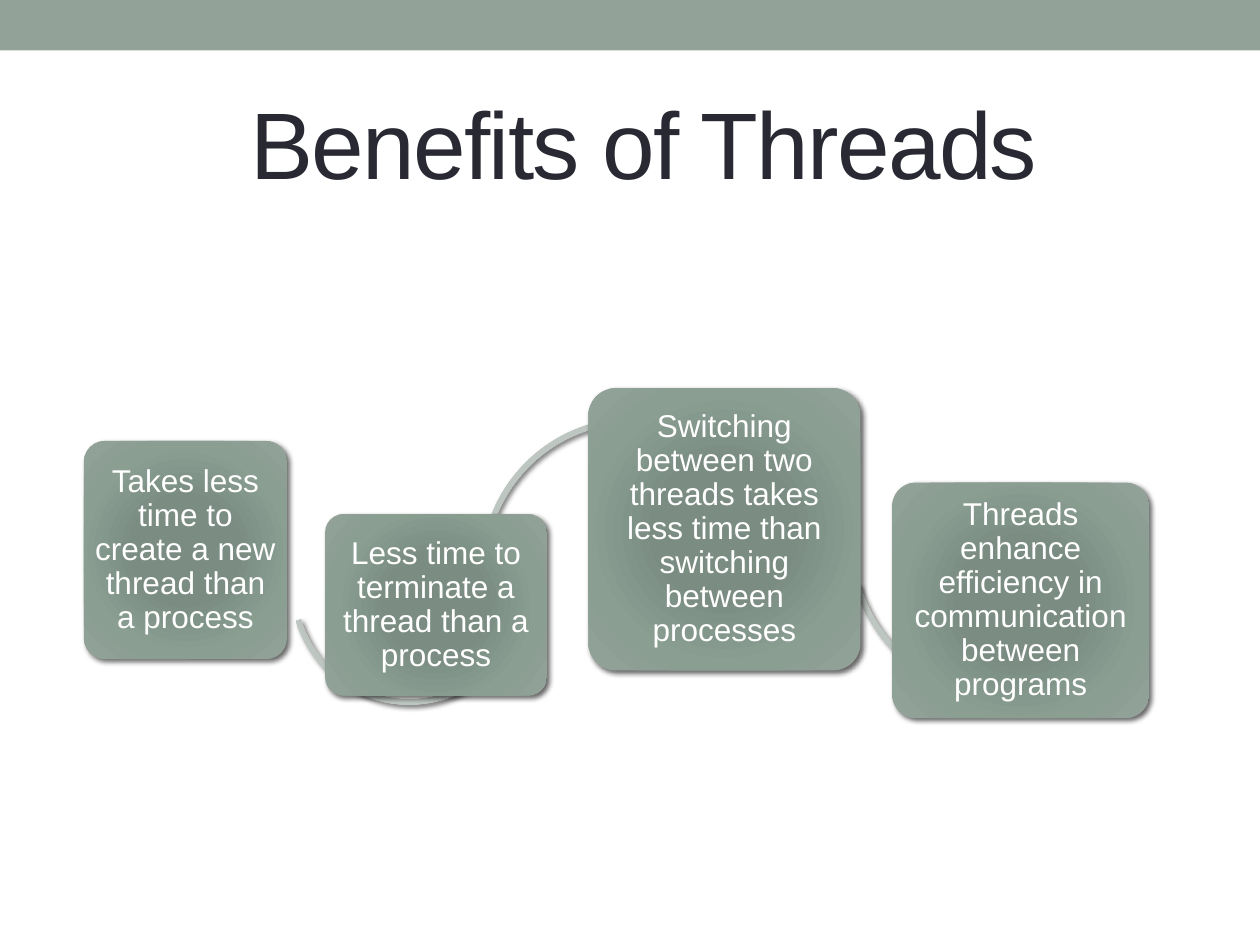
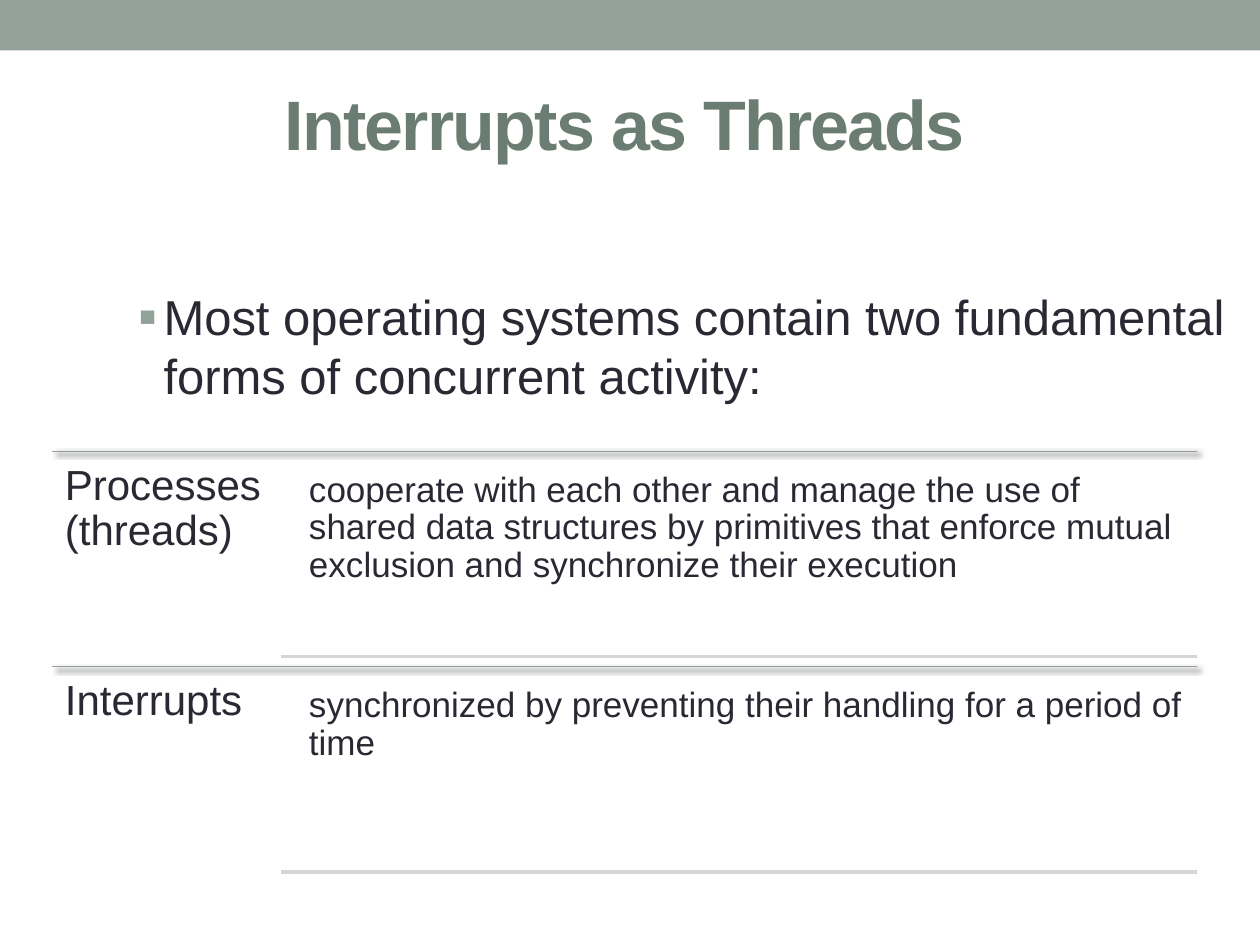
"""Build two slides on threads: their benefits, and interrupts as threads."""
from lxml import etree
from pptx import Presentation
from pptx.dml.color import RGBColor
from pptx.enum.shapes import MSO_CONNECTOR, MSO_SHAPE
from pptx.enum.text import MSO_ANCHOR, PP_ALIGN
from pptx.oxml import parse_xml
from pptx.oxml.ns import nsdecls, qn
from pptx.util import Pt

RECTANGLE = MSO_SHAPE.RECTANGLE
ROUNDED = MSO_SHAPE.ROUNDED_RECTANGLE
ARC_UNDER = MSO_SHAPE.LEFT_CIRCULAR_ARROW
ARC_OVER = MSO_SHAPE.CIRCULAR_ARROW
STRAIGHT = MSO_CONNECTOR.STRAIGHT
LEFT, CENTER = PP_ALIGN.LEFT, PP_ALIGN.CENTER
TOP, MIDDLE = MSO_ANCHOR.TOP, MSO_ANCHOR.MIDDLE

FONT = "Arial"
SAGE, DARK_SAGE, PALE_SAGE = "93A299", "6B7D72", "D2D7D4"
INK, WHITE = "292934", "FFFFFF"
CARD_STOPS = [(0, "7B8E82"), (34, "7B8D83"), (70, "8A9E92"), (100, SAGE)]
ARC_STOPS = [(0, "AAB2AD"), (34, "AAB1AD"), (70, "BDC6C1"), (100, "C8CECA")]
hex_color = RGBColor.from_string


def write_text(shape, text, size, color, align=LEFT, anchor=TOP, margins=(7.2, 3.6), spacing=None):
    """Fill a shape with one paragraph and return the paragraph."""
    frame = shape.text_frame
    frame.word_wrap = True
    frame.vertical_anchor = anchor
    frame.margin_left = frame.margin_right = Pt(margins[0])
    frame.margin_top = frame.margin_bottom = Pt(margins[1])
    paragraph = frame.paragraphs[0]
    paragraph.text = text
    paragraph.alignment = align
    paragraph.line_spacing = spacing
    paragraph.font.name = FONT
    paragraph.font.size = Pt(size)
    paragraph.font.color.rgb = hex_color(color)
    return paragraph


def set_effects(shape, shadow):
    """Give a shape a soft shadow, or none."""
    effects = etree.SubElement(shape._element.spPr, qn("a:effectLst"))
    if shadow:
        effects.append(parse_xml(
            f'<a:outerShdw {nsdecls("a")} blurRad="{Pt(3)}" dist="{Pt(2)}" dir="2700000" '
            'rotWithShape="0"><a:srgbClr val="000000"><a:alpha val="60000"/></a:srgbClr></a:outerShdw>'))


presentation = Presentation()
presentation.slide_width, presentation.slide_height = Pt(720), Pt(540)

titles = [
    ("Benefits of Threads", (60, 42, 616, 78), 54, INK, False),
    ("Interrupts as Threads", (24, 18, 666, 104), 40, DARK_SAGE, True),
]
slides = []
for text, box, size, color, bold in titles:
    slide = presentation.slides.add_slide(presentation.slide_layouts[6])
    band = slide.shapes.add_shape(RECTANGLE, 0, 0, Pt(720), Pt(28.8))
    band.fill.solid()
    band.fill.fore_color.rgb = hex_color(SAGE)
    band.line.fill.background()
    band.shadow.inherit = False
    title = slide.shapes.add_textbox(*map(Pt, box))
    paragraph = write_text(title, text, size, color, CENTER, MIDDLE)
    paragraph.font.bold = bold
    paragraph.runs[0]._r.get_or_add_rPr().set("spc", "-100")
    slides.append(slide)
benefits_slide, interrupts_slide = slides

arcs = [
    (ARC_UNDER, 164.2, 265.7, 139, (2.54, 27.88, 97.83)),
    (ARC_OVER, 272.9, 236.9, 178, (1.97, 181.52, 110.99)),
    (ARC_UNDER, 483.1, 220.3, 180, (1.94, 27.81, 98.36)),
]
cards = [
    ("Takes less time to create a new thread than a process", (48, 252, 116, 124.6)),
    ("Less time to terminate a thread than a process", (185.8, 293.8, 126.7, 103.7)),
    ("Switching between two threads takes less time than switching between processes",
     (336.2, 221.8, 155.5, 161.3)),
    ("Threads enhance efficiency in communication between programs", (509.8, 275.8, 146.9, 134.6)),
]
gradient_shapes = []
for kind, left, top, size, angles in arcs:
    arc = benefits_slide.shapes.add_shape(kind, Pt(left), Pt(top), Pt(size), Pt(size))
    for index, value in enumerate((3 / size, *angles, 3.5 / size)):
        arc.adjustments[index] = value
    gradient_shapes.append((arc, ARC_STOPS))
for text, box in cards:
    card = benefits_slide.shapes.add_shape(ROUNDED, *map(Pt, box))
    card.adjustments[0] = 0.1
    write_text(card, text, 18, WHITE, CENTER, MIDDLE, (2.7, 1.8), 0.9)
    gradient_shapes.append((card, CARD_STOPS))

for shape, stops in gradient_shapes:
    shape.fill.background()
    shape.line.fill.background()
    stop_xml = "".join(
        f'<a:gs pos="{position * 1000}"><a:srgbClr val="{color}"/></a:gs>' for position, color in stops)
    properties = shape._element.spPr
    properties.replace(properties.find(qn("a:noFill")), parse_xml(
        f'<a:gradFill {nsdecls("a")} rotWithShape="1"><a:gsLst>{stop_xml}</a:gsLst><a:path path="circle">'
        '<a:fillToRect l="100000" t="100000" r="100000" b="100000"/></a:path></a:gradFill>'))
    set_effects(shape, True)

body = interrupts_slide.shapes.add_textbox(Pt(72), Pt(160), Pt(648), Pt(82))
paragraph = write_text(
    body, "Most operating systems contain two fundamental forms of concurrent activity:", 28, INK)
paragraph_properties = paragraph._p.get_or_add_pPr()
paragraph_properties.set("marL", str(Pt(14.4)))
paragraph_properties.set("indent", str(Pt(-14.4)))
bullet_parts = [
    f'<a:buClr {nsdecls("a")}><a:srgbClr val="{SAGE}"/></a:buClr>',
    f'<a:buSzPct {nsdecls("a")} val="110000"/>',
    f'<a:buFont {nsdecls("a")} typeface="{FONT}"/>',
    f'<a:buChar {nsdecls("a")} char="▪"/>',
]
for index, part in enumerate(bullet_parts):
    paragraph_properties.insert(index, parse_xml(part))

activities = [
    ("Processes (threads)",
     "cooperate with each other and manage the use of shared data structures by primitives "
     "that enforce mutual exclusion and synchronize their execution"),
    ("Interrupts", "synchronized by preventing their handling for a period of time"),
]
row_height = 123
for row, (name, description) in enumerate(activities):
    top = 258 + row * row_height
    rules = [(30, top, SAGE, 0.75, True), (160.8, top + 117.2, PALE_SAGE, 2.08, False)]
    for left, y, color, width, shadow in rules:
        rule = interrupts_slide.shapes.add_connector(STRAIGHT, Pt(left), Pt(y), Pt(684), Pt(y))
        rule.line.color.rgb = hex_color(color)
        rule.line.width = Pt(width)
        set_effects(rule, shadow)
    name_box = interrupts_slide.shapes.add_textbox(Pt(30), Pt(top), Pt(131), Pt(row_height))
    write_text(name_box, name, 24, INK, margins=(7.2, 7.2), spacing=0.9)
    description_box = interrupts_slide.shapes.add_textbox(Pt(170.6), Pt(top + 5.6), Pt(513.4), Pt(111.6))
    write_text(description_box, description, 20, INK, margins=(6, 6), spacing=0.9)

presentation.save("out.pptx")
